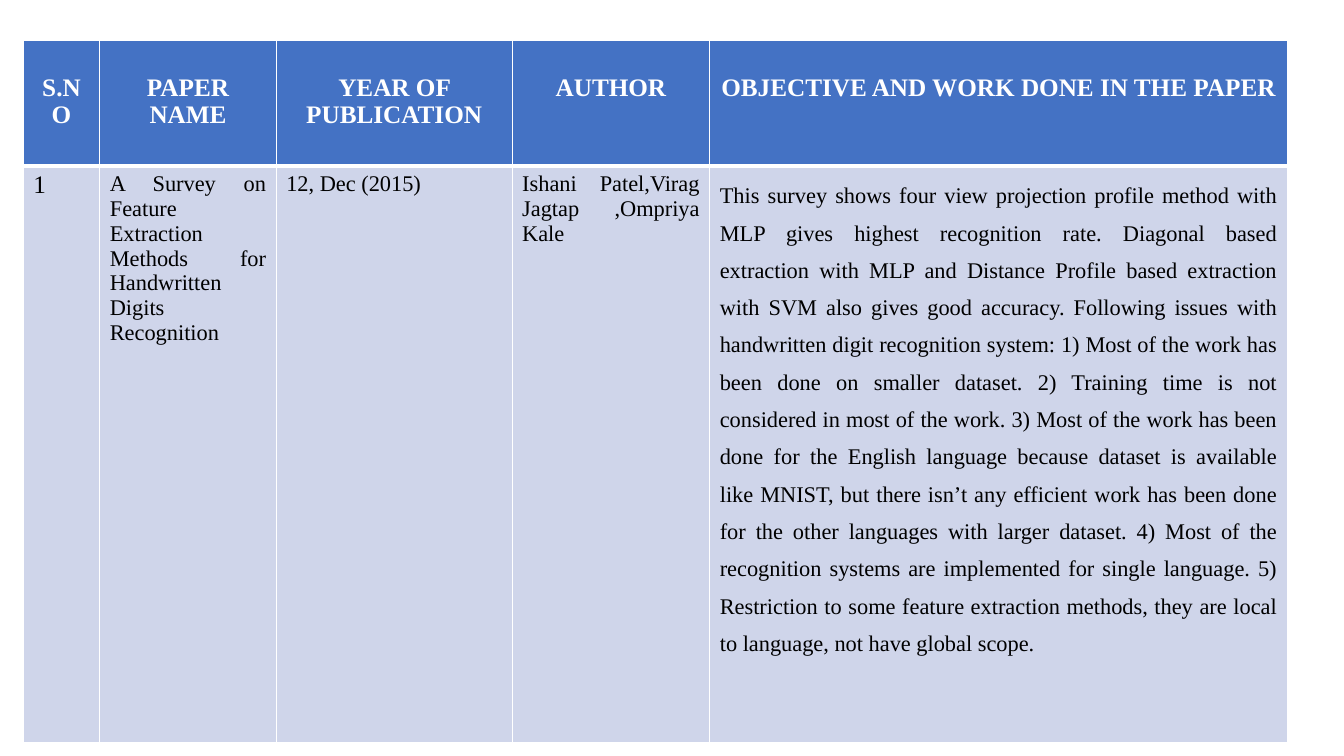
from pptx import Presentation
from pptx.dml.color import RGBColor
from pptx.enum.text import PP_ALIGN
from pptx.oxml import parse_xml
from pptx.oxml.ns import nsdecls
from pptx.util import Inches, Pt


def color(value):
    return RGBColor.from_string(value)


def add_border(cell, side, points):
    cell._tc.get_or_add_tcPr().append(parse_xml(
        f'<a:ln{side} {nsdecls("a")} w="{Pt(points)}"><a:solidFill>'
        f'<a:srgbClr val="FFFFFF"/></a:solidFill></a:ln{side}>'))


objective = (
    "This survey shows four view projection profile method with MLP gives highest "
    "recognition rate. Diagonal based extraction with MLP and Distance Profile based "
    "extraction with SVM also gives good accuracy. Following issues with handwritten "
    "digit recognition system: 1) Most of the work has been done on smaller dataset. "
    "2) Training time is not considered in most of the work. 3) Most of the work has "
    "been done for the English language because dataset is available like MNIST, but "
    "there isn\u2019t any efficient work has been done for the other languages with "
    "larger dataset. 4) Most of the recognition systems are implemented for single "
    "language. 5) Restriction to some feature extraction methods, they are local to "
    "language, not have global scope.")

columns = [
    ("S.NO", "1", 0.76, 18),
    ("PAPER NAME", "A Survey on Feature Extraction Methods for Handwritten Digits "
     "Recognition", 1.75, 16),
    ("YEAR OF PUBLICATION", "12, Dec (2015)", 2.34, 16),
    ("AUTHOR", "Ishani Patel,Virag Jagtap ,Ompriya Kale", 1.96, 16),
    ("OBJECTIVE AND WORK DONE IN THE PAPER", objective, 5.73, 16),
]

presentation = Presentation()
presentation.slide_width = Inches(13.33)
presentation.slide_height = Inches(7.5)
slide = presentation.slides.add_slide(presentation.slide_layouts[6])

table = slide.shapes.add_table(
    2, len(columns), Inches(0.23), Inches(0.4), Inches(12.54), Inches(6.97)).table
table.rows[0].height = Inches(1.25)
table.rows[1].height = Inches(5.72)

for column_index, (heading, entry, width, entry_size) in enumerate(columns):
    table.columns[column_index].width = Inches(width)
    for row_index, text in enumerate((heading, entry)):
        is_header = row_index == 0
        cell = table.cell(row_index, column_index)
        for side, points in (("L", 1), ("R", 1), ("T", 1 if is_header else 3),
                             ("B", 3 if is_header else 1)):
            add_border(cell, side, points)
        cell.fill.solid()
        cell.fill.fore_color.rgb = color("4472C4" if is_header else "CFD5EA")
        cell.margin_top = Inches(0.33 if is_header else 0.05)
        paragraph = cell.text_frame.paragraphs[0]
        paragraph.alignment = PP_ALIGN.CENTER if is_header else PP_ALIGN.JUSTIFY
        if text == objective:
            paragraph.line_spacing = 1.5
        run = paragraph.add_run()
        run.text = text
        run.font.name = "Times New Roman"
        run.font.size = Pt(18 if is_header else entry_size)
        run.font.bold = is_header
        run.font.color.rgb = color("FFFFFF" if is_header else "000000")

presentation.save("out.pptx")
